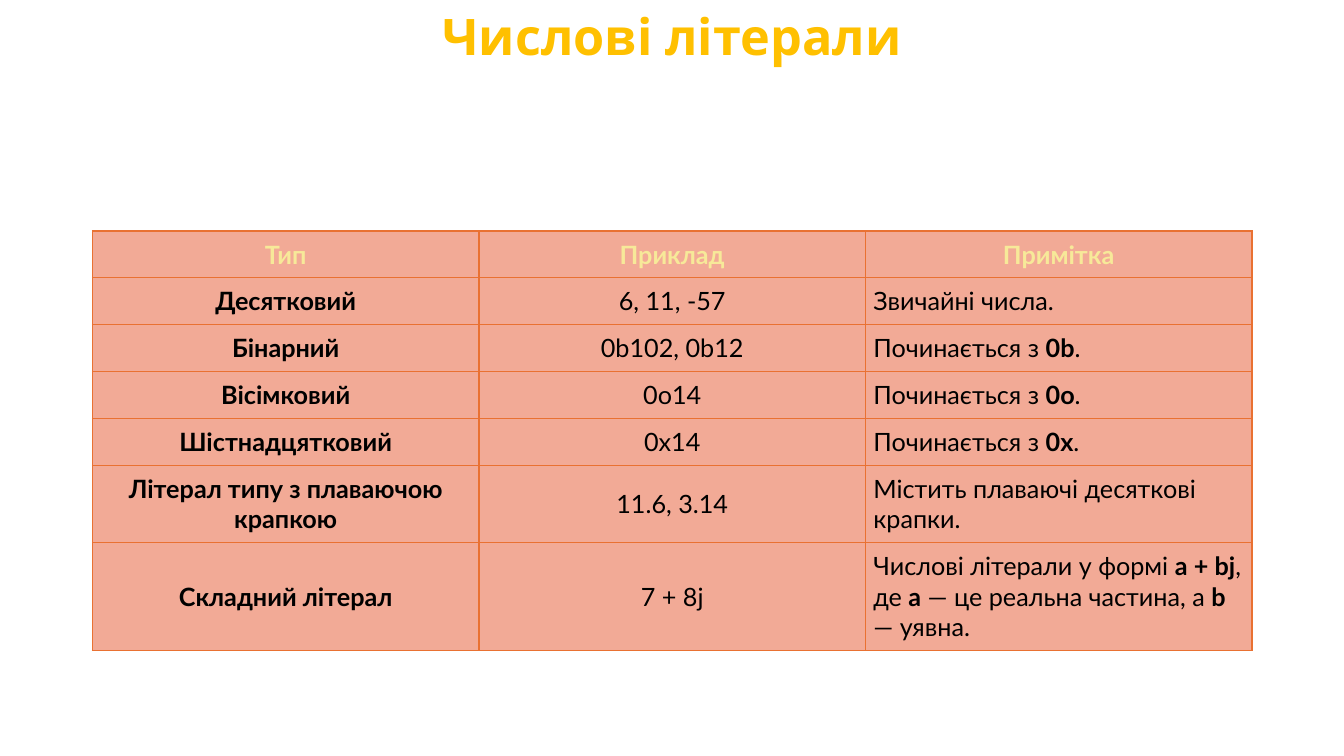
from lxml import etree
from pptx import Presentation
from pptx.dml.color import RGBColor
from pptx.enum.text import MSO_ANCHOR, MSO_AUTO_SIZE, PP_ALIGN
from pptx.oxml.ns import qn
from pptx.util import Cm, Pt

CENTER, LEFT = PP_ALIGN.CENTER, PP_ALIGN.LEFT
MIDDLE = MSO_ANCHOR.MIDDLE
NO_AUTOFIT = MSO_AUTO_SIZE.NONE
TITLE_ONLY = 5

GOLD, CREAM, BLACK = "FFC000", "F7E999", "000000"
SALMON, ORANGE = "F2AA96", "E97132"

BOLD_MARK = "*"
COLUMN_WIDTH = 9.74
ROW_HEIGHTS = [1.18] * 5 + [1.95, 2.72]
ROWS = [
    ("Тип", "Приклад", "Примітка"),
    ("Десятковий", "6, 11, -57", "Звичайні числа."),
    ("Бінарний", "0b102, 0b12", "Починається з *0b*."),
    ("Вісімковий", "0o14", "Починається з *0o*."),
    ("Шістнадцятковий", "0x14", "Починається з *0x*."),
    ("Літерал типу з плаваючою крапкою", "11.6, 3.14",
     "Містить плаваючі десяткові крапки."),
    ("Складний літерал", "7 + 8j",
     "Числові літерали у формі *a + bj*, де *a* — це реальна частина, а *b* — уявна."),
]


def color(value):
    return RGBColor.from_string(value)


def set_font(para, name, size, value):
    para.font.name = name
    para.font.size = Pt(size)
    para.font.color.rgb = color(value)


def add_title(page, text):
    title = page.shapes.title
    title.left, title.top = Cm(0), Cm(0)
    title.width, title.height = Cm(33.87), Cm(1.8)
    frame = title.text_frame
    frame.auto_size = NO_AUTOFIT
    frame.vertical_anchor = MIDDLE
    frame.text = text
    para = frame.paragraphs[0]
    para.alignment = CENTER
    para.font.bold = True
    set_font(para, "Open Sans", 36, GOLD)


def add_borders(cell, value, width):
    properties = cell._tc.get_or_add_tcPr()
    for side in ("lnL", "lnR", "lnT", "lnB"):
        line = etree.SubElement(properties, qn(f"a:{side}"), w=str(Pt(width)))
        fill = etree.SubElement(line, qn("a:solidFill"))
        etree.SubElement(fill, qn("a:srgbClr"), val=value)


def fill_cell(cell, text, is_header, column):
    add_borders(cell, ORANGE, 1)
    cell.fill.solid()
    cell.fill.fore_color.rgb = color(SALMON)
    cell.vertical_anchor = MIDDLE
    cell.margin_left = cell.margin_right = Cm(0.2)
    cell.margin_top = cell.margin_bottom = Cm(0.2)
    para = cell.text_frame.paragraphs[0]
    para.alignment = CENTER if is_header or column < 2 else LEFT
    set_font(para, "Lato", 18, CREAM if is_header else BLACK)
    bold_cell = is_header or column == 0
    for index, part in enumerate(text.split(BOLD_MARK)):
        span = para.add_run()
        span.text = part
        span.font.bold = bold_cell or index % 2 == 1


def add_literal_table(page):
    columns = len(ROWS[0])
    table = page.shapes.add_table(
        len(ROWS), columns, Cm(2.33), Cm(5.82),
        Cm(COLUMN_WIDTH * columns), Cm(sum(ROW_HEIGHTS))).table
    for column in table.columns:
        column.width = Cm(COLUMN_WIDTH)
    for row, height in zip(table.rows, ROW_HEIGHTS):
        row.height = Cm(height)
    for row_index, texts in enumerate(ROWS):
        for column, text in enumerate(texts):
            fill_cell(table.cell(row_index, column), text, row_index == 0, column)


def main():
    deck = Presentation()
    deck.slide_width, deck.slide_height = Cm(33.87), Cm(19.05)
    page = deck.slides.add_slide(deck.slide_layouts[TITLE_ONLY])
    add_literal_table(page)
    add_title(page, "Числові літерали")
    deck.save("out.pptx")


if __name__ == "__main__":
    main()
